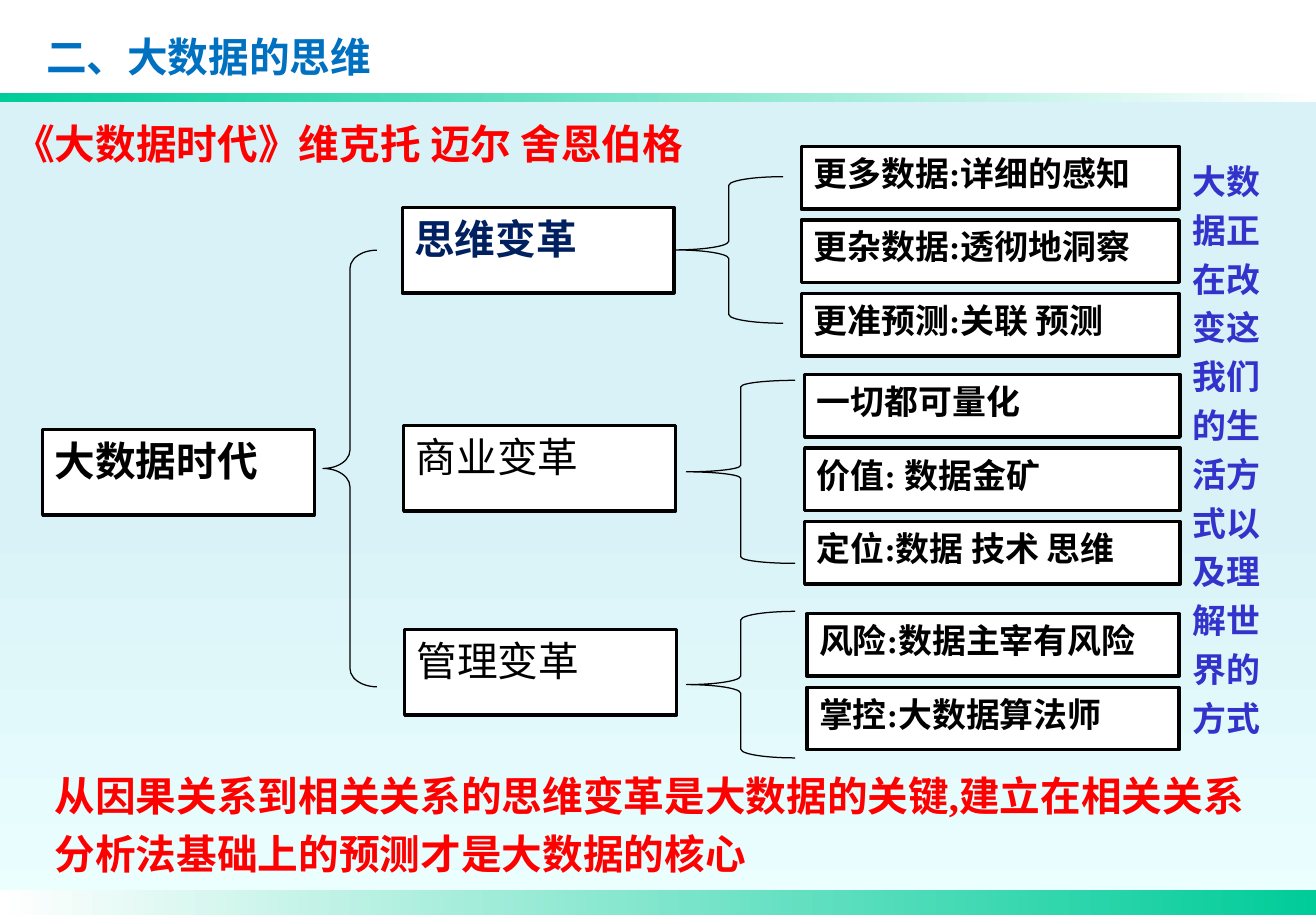
import copy
from dataclasses import dataclass

import pptx
import pptx.dml.color
import pptx.enum.shapes
import pptx.enum.text
import pptx.oxml
import pptx.oxml.ns
import pptx.util

Cm = pptx.util.Cm
Shape = pptx.enum.shapes.MSO_SHAPE
SANS = "Noto Sans CJK SC"
SERIF = "Times New Roman"
LEAF_HEIGHT = 1.3
LEAF_PITCH = 1.53


@dataclass(frozen=True)
class Area:
    left: float
    top: float
    width: float
    height: float

    def lengths(self) -> tuple:
        return Cm(self.left), Cm(self.top), Cm(self.width), Cm(self.height)


@dataclass(frozen=True)
class Style:
    size: int
    color: str = "000000"
    bold: bool = True
    font: str = SERIF
    line_spacing: float = 1.0


@dataclass(frozen=True)
class Band:
    area: Area
    stops: tuple[tuple[float, str], ...]
    angle: int = 0


@dataclass(frozen=True)
class Caption:
    text: str
    area: Area
    style: Style


@dataclass(frozen=True)
class Brace:
    area: Area
    curve: float


@dataclass(frozen=True)
class Branch:
    topic: str
    area: Area
    style: Style
    brace: Brace
    leaf_left: float
    leaf_top: float
    leaf_width: float
    leaves: tuple[str, ...]


BANDS = (
    Band(Area(0, 1.93, 27.41, 0.2), ((0, "00CC99"), (1, "FFFFFF"))),
    Band(Area(0, 2.13, 27.41, 16.92),
         ((0, "D9F2F7"), (0.5, "D9F2F7"), (1, "EBFFFF")), 270),
    Band(Area(0, 18.54, 27.41, 0.51), ((0, "FFFFFF"), (1, "00CC99"))),
)

CAPTIONS = (
    Caption("二、大数据的思维", Area(0.71, 0.53, 17.6, 2.31),
            Style(24, "0070C0", font=SANS)),
    Caption("《大数据时代》维克托 迈尔 舍恩伯格", Area(0.05, 2.34, 17.45, 1.27),
            Style(24, "FF0000", font=SANS)),
    Caption("从因果关系到相关关系的思维变革是大数据的关键,建立在相关关系分析法基础上的预测才是大数据的核心",
            Area(0.89, 15.72, 25.32, 2.69),
            Style(24, "FF0000", line_spacing=1.2)),
    Caption("大数据正在改变这我们的生活方式以及理解世界的方式",
            Area(24.59, 3.05, 2.51, 12.57),
            Style(20, "3333CC", font=SANS, line_spacing=1.2)),
)

ROOT = Caption("大数据时代", Area(0.89, 8.94, 5.66, 1.78), Style(24))
ROOT_BRACE = Brace(Area(6.73, 5.21, 1.12, 9.09), 0.34)
LEAF_STYLE = Style(20)

BRANCHES = (
    Branch("思维变革", Area(8.38, 4.32, 5.66, 1.78), Style(24, "002060"),
           Brace(Area(14.05, 3.68, 2.26, 3.05), 0.08), 16.69, 3.05, 7.87,
           ("更多数据:详细的感知", "更杂数据:透彻地洞察", "更准预测:关联 预测")),
    Branch("商业变革", Area(8.41, 8.86, 5.66, 1.78), Style(24, bold=False),
           Brace(Area(14.3, 7.92, 2.26, 3.81), 0.06), 16.76, 7.8, 7.82,
           ("一切都可量化", "价值: 数据金矿", "定位:数据 技术 思维")),
    Branch("管理变革", Area(8.43, 13.11, 5.66, 1.78), Style(24, bold=False),
           Brace(Area(14.3, 12.73, 2.26, 3.05), 0.08), 16.81, 12.78, 7.75,
           ("风险:数据主宰有风险", "掌控:大数据算法师")),
)


def rgb(value: str) -> pptx.dml.color.RGBColor:
    return pptx.dml.color.RGBColor.from_string(value)


def write(frame, text: str, style: Style) -> None:
    frame.word_wrap = True
    frame.vertical_anchor = pptx.enum.text.MSO_ANCHOR.TOP
    paragraph = frame.paragraphs[0]
    paragraph.text = text
    paragraph.alignment = pptx.enum.text.PP_ALIGN.LEFT
    paragraph.line_spacing = style.line_spacing
    font = paragraph.font
    font.size = pptx.util.Pt(style.size)
    font.bold = style.bold
    font.color.rgb = rgb(style.color)
    font.name = style.font
    east_asian = pptx.oxml.parse_xml(
        f'<a:ea {pptx.oxml.ns.nsdecls("a")} typeface="{SANS}"/>')
    paragraph._p.pPr.find(pptx.oxml.ns.qn("a:defRPr")).append(east_asian)


def draw_band(slide, band: Band) -> None:
    shape = slide.shapes.add_shape(Shape.RECTANGLE, *band.area.lengths())
    shape.shadow.inherit = False
    shape.line.fill.background()
    shape.fill.gradient()
    shape.fill.gradient_angle = band.angle
    stop_list = next(shape._element.spPr.iter(pptx.oxml.ns.qn("a:gsLst")))
    while len(stop_list) < len(band.stops):
        stop_list.append(copy.deepcopy(stop_list[-1]))
    for stop, (position, color) in zip(shape.fill.gradient_stops, band.stops):
        stop.position = position
        stop.color.rgb = rgb(color)


def draw_caption(slide, caption: Caption) -> None:
    box = slide.shapes.add_textbox(*caption.area.lengths())
    write(box.text_frame, caption.text, caption.style)


def draw_box(slide, caption: Caption) -> None:
    shape = slide.shapes.add_shape(Shape.RECTANGLE, *caption.area.lengths())
    shape.shadow.inherit = False
    shape.fill.solid()
    shape.fill.fore_color.rgb = rgb("FFFFFF")
    shape.line.color.rgb = rgb("000000")
    shape.line.width = pptx.util.Pt(2)
    write(shape.text_frame, caption.text, caption.style)


def draw_brace(slide, brace: Brace) -> None:
    shape = slide.shapes.add_shape(Shape.LEFT_BRACE, *brace.area.lengths())
    shape.shadow.inherit = False
    shape.adjustments[0] = brace.curve
    shape.fill.background()
    shape.line.color.rgb = rgb("000000")
    shape.line.width = pptx.util.Pt(0.75)


def draw_branch(slide, branch: Branch) -> None:
    draw_box(slide, Caption(branch.topic, branch.area, branch.style))
    for row, leaf in enumerate(branch.leaves):
        area = Area(branch.leaf_left, branch.leaf_top + row * LEAF_PITCH,
                    branch.leaf_width, LEAF_HEIGHT)
        draw_box(slide, Caption(leaf, area, LEAF_STYLE))
    draw_brace(slide, branch.brace)


def main() -> None:
    presentation = pptx.Presentation()
    presentation.slide_width = Cm(27.41)
    presentation.slide_height = Cm(19.05)
    slide = presentation.slides.add_slide(presentation.slide_layouts[6])
    for band in BANDS:
        draw_band(slide, band)
    draw_box(slide, ROOT)
    draw_brace(slide, ROOT_BRACE)
    for branch in BRANCHES:
        draw_branch(slide, branch)
    for caption in CAPTIONS:
        draw_caption(slide, caption)
    presentation.save("out.pptx")


if __name__ == "__main__":
    main()
